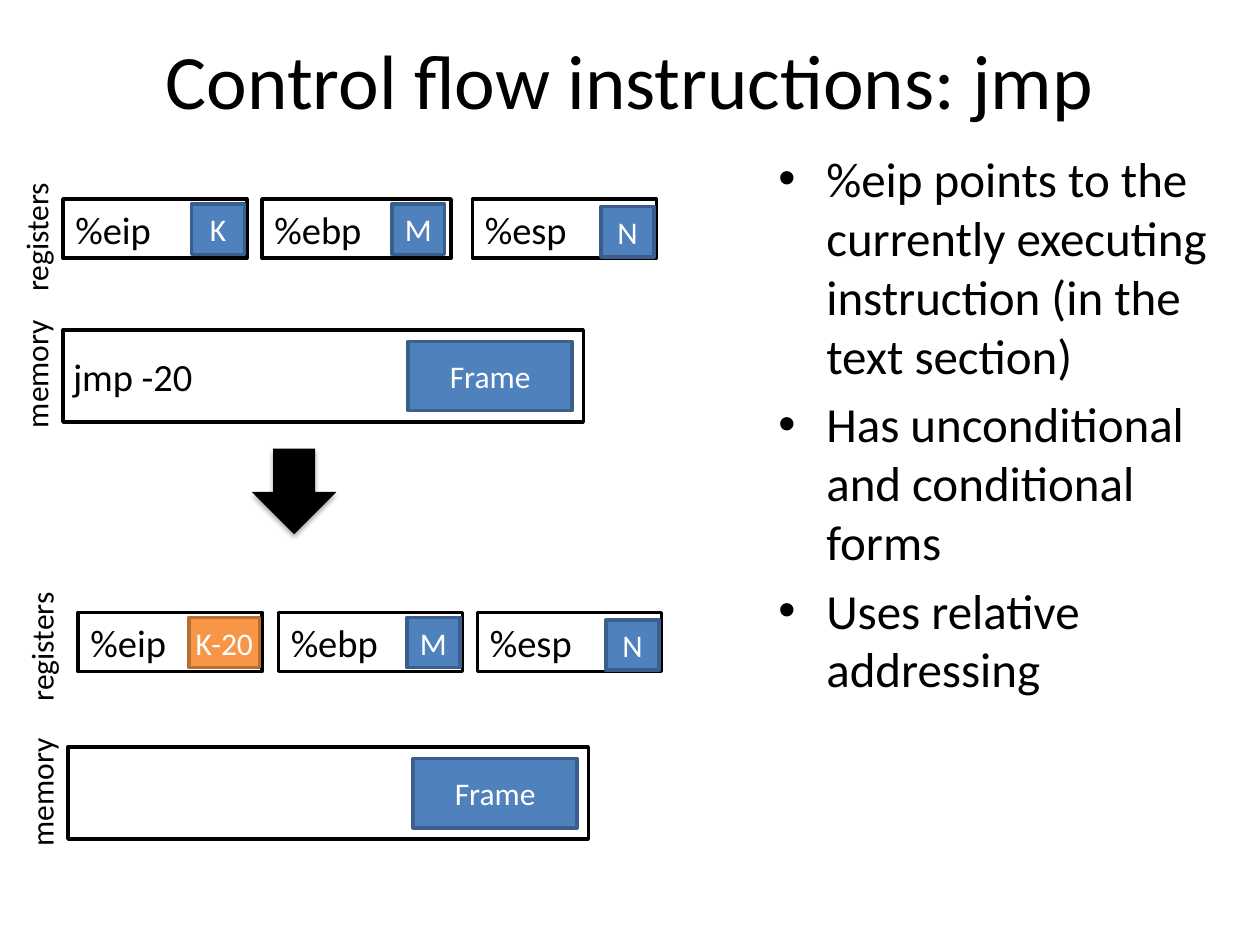
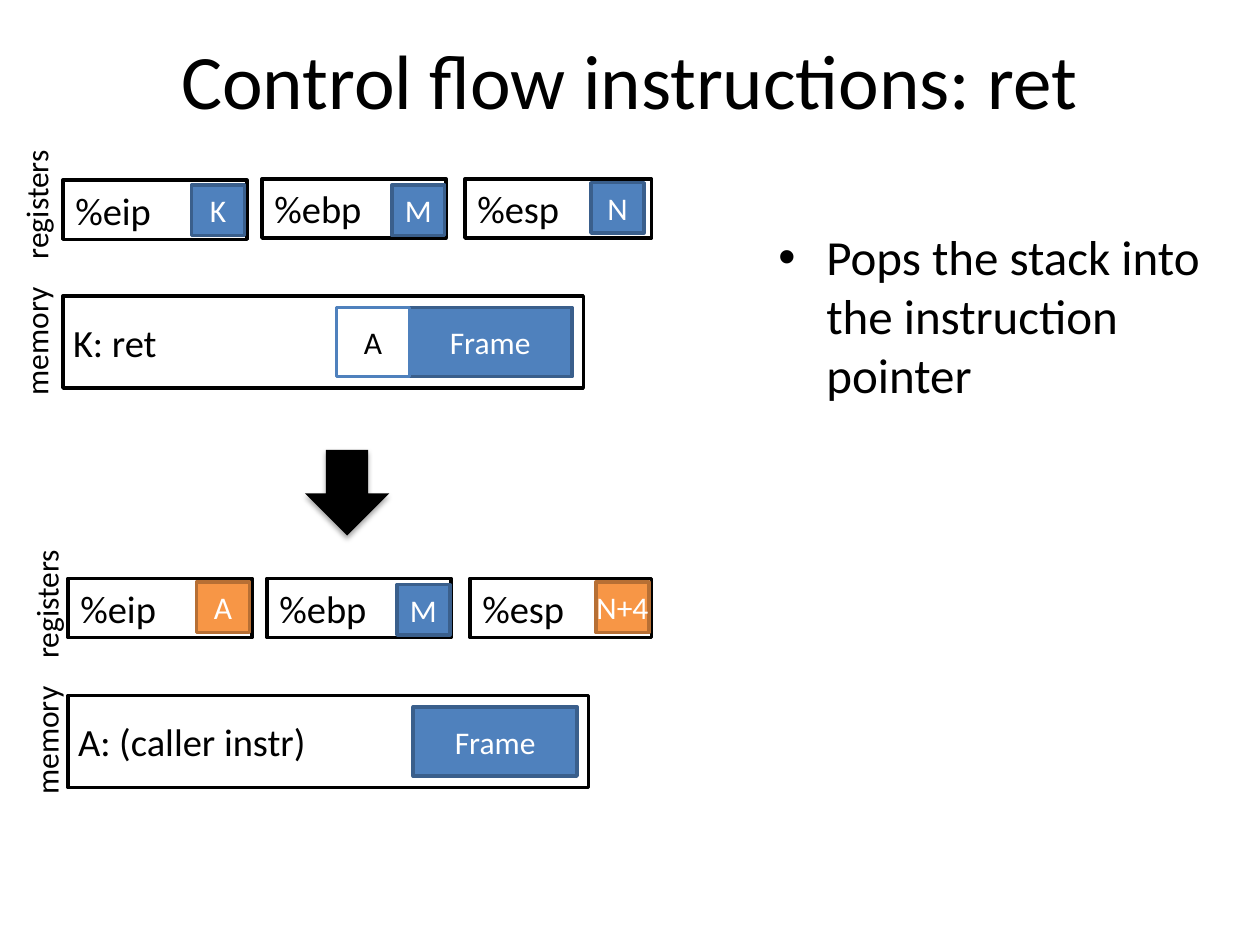
from lxml import etree
from pptx import Presentation
from pptx.dml.color import RGBColor
from pptx.enum.shapes import MSO_SHAPE
from pptx.enum.text import MSO_ANCHOR, PP_ALIGN
from pptx.oxml import parse_xml
from pptx.oxml.ns import nsdecls, qn
from pptx.util import Inches, Pt

RECTANGLE, DOWN_ARROW = MSO_SHAPE.RECTANGLE, MSO_SHAPE.DOWN_ARROW
TOP, MIDDLE = MSO_ANCHOR.TOP, MSO_ANCHOR.MIDDLE
LEFT, CENTER = PP_ALIGN.LEFT, PP_ALIGN.CENTER

FONT = "Calibri"
COLORS = {
    "black": "000000",
    "white": "FFFFFF",
    "blue": "4F81BD",
    "blue edge": "3A5F8C",
    "orange": "F79646",
    "orange edge": "B76F34",
}
REGISTER_HEIGHT = 0.47
VALUE_HEIGHT = 0.4
MEMORY_SIZE = (4.13, 0.73)
FRAME_SIZE = (1.3, 0.55)
LABEL_SIZE = (1.07, 0.4)

# Each register: name, left, top, width, value, value left and top offsets, value width, colour.
# Each state: registers, label left, label tops, memory left and top, instruction, return address.
SLIDES = [
    {
        "title": "Control flow instructions: jmp",
        "bullets_top": 1.13,
        "bullets": [
            "%eip points to the currently executing instruction (in the text section)",
            "Has unconditional and conditional forms",
            "Uses relative addressing",
        ],
        "arrow": (2, 3.56),
        "states": [
            ([("%eip", 0.5, 1.58, 1.46, "K", 1.02, 0.04, 0.42, "blue"),
              ("%ebp", 2.08, 1.58, 1.5, "M", 1.03, 0.04, 0.42, "blue"),
              ("%esp", 3.75, 1.58, 1.46, "N", 1.02, 0.06, 0.42, "blue")],
             -0.25, (1.68, 2.76), (0.5, 2.62), "jmp -20", None),
            ([("%eip", 0.62, 4.86, 1.46, "K-20", 0.88, 0.04, 0.56, "orange"),
              ("%ebp", 2.21, 4.86, 1.46, "M", 1.02, 0.04, 0.42, "blue"),
              ("%esp", 3.79, 4.86, 1.46, "N", 1.02, 0.06, 0.42, "blue")],
             -0.21, (4.93, 6.08), (0.54, 5.93), None, None),
        ],
    },
    {
        "title": "Control flow instructions: ret",
        "bullets_top": 1.75,
        "bullets": ["Pops the stack into the instruction pointer"],
        "arrow": (2.42, 3.57),
        "states": [
            ([("%eip", 0.5, 1.43, 1.46, "K", 1.02, 0.04, 0.42, "blue"),
              ("%ebp", 2.08, 1.42, 1.46, "M", 1.03, 0.05, 0.42, "blue"),
              ("%esp", 3.69, 1.42, 1.48, "N", 1, 0.03, 0.42, "blue")],
             -0.25, (1.42, 2.5), (0.5, 2.35), "K: ret", "A"),
            ([("%eip", 0.54, 4.59, 1.46, "A", 1.02, 0.03, 0.42, "orange"),
              ("%ebp", 2.12, 4.59, 1.46, "M", 1.03, 0.05, 0.42, "blue"),
              ("%esp", 3.73, 4.59, 1.44, "N+4", 1, 0.03, 0.42, "orange")],
             -0.17, (4.59, 5.67), (0.54, 5.52), "A: (caller instr)", None),
        ],
    },
]


def write(box, lines, size, color="black", align=LEFT, anchor=MIDDLE, inset=0.1, wrap=True):
    """Fill a box with one paragraph per line and return the paragraphs."""
    frame = box.text_frame
    frame.word_wrap = wrap
    frame.vertical_anchor = anchor
    frame.margin_left = frame.margin_right = Inches(inset)
    frame.margin_top = frame.margin_bottom = Inches(0.05)
    paras = []
    for number, line in enumerate(lines):
        para = frame.add_paragraph() if number else frame.paragraphs[0]
        para.alignment = align
        span = para.add_run()
        span.text = line
        span.font.name = FONT
        span.font.size = Pt(size)
        span.font.color.rgb = RGBColor.from_string(COLORS[color])
        paras.append(para)
    return paras


def add_rectangle(page, left, top, width, height, fill, edge):
    box = page.shapes.add_shape(
        RECTANGLE, Inches(left), Inches(top), Inches(width), Inches(height))
    box.shadow.inherit = False
    box.fill.solid()
    box.fill.fore_color.rgb = RGBColor.from_string(COLORS[fill])
    box.line.color.rgb = RGBColor.from_string(COLORS[edge])
    box.line.width = Pt(2)
    return box


deck = Presentation()
deck.slide_width, deck.slide_height = Inches(10), Inches(7.5)

for content in SLIDES:
    page = deck.slides.add_slide(deck.slide_layouts[6])

    # Title
    title = page.shapes.add_textbox(Inches(0.5), Inches(0), Inches(9), Inches(1.25))
    write(title, [content["title"]], 44, align=CENTER)

    # Bullets on the right
    body = page.shapes.add_textbox(
        Inches(6.08), Inches(content["bullets_top"]), Inches(3.92), Inches(4.95))
    for para in write(body, content["bullets"], 28, anchor=TOP):
        para.space_before = Pt(5.6)
        properties = para._p.get_or_add_pPr()
        properties.set("marL", str(Inches(0.38)))
        properties.set("indent", str(-Inches(0.38)))
        etree.SubElement(properties, qn("a:buFont")).set("typeface", "Arial")
        etree.SubElement(properties, qn("a:buChar")).set("char", "•")

    # Machine state before and after the instruction
    for registers, label_left, label_tops, memory_at, instruction, address in content["states"]:
        for name, left, top, width, value, shift, drop, value_width, color in registers:
            register = add_rectangle(page, left, top, width, REGISTER_HEIGHT, "white", "black")
            write(register, [name], 22)
            value_box = add_rectangle(page, left + shift, top + drop, value_width, VALUE_HEIGHT,
                                      color, color + " edge")
            write(value_box, [value], 18, "white", CENTER, inset=0, wrap=False)

        for caption, top in zip(("registers", "memory"), label_tops):
            label = page.shapes.add_textbox(
                Inches(label_left), Inches(top), *map(Inches, LABEL_SIZE))
            label.rotation = 270
            write(label, [caption], 18, wrap=False)

        left, top = memory_at
        memory = add_rectangle(page, left, top, *MEMORY_SIZE, "white", "black")
        if instruction:
            write(memory, [instruction], 22, inset=0.08)
        stack_frame = add_rectangle(page, left + 2.74, top + 0.09, *FRAME_SIZE,
                                    "blue", "blue edge")
        write(stack_frame, ["Frame"], 18, "white", CENTER)
        if address:
            address_box = add_rectangle(page, left + 2.17, top + 0.09, 0.58, FRAME_SIZE[1],
                                        "white", "blue")
            write(address_box, [address], 18, align=CENTER, inset=0)

    # Arrow from the first state to the second, with a soft shadow
    left, top = content["arrow"]
    arrow = page.shapes.add_shape(
        DOWN_ARROW, Inches(left), Inches(top), Inches(0.67), Inches(0.68))
    arrow.fill.solid()
    arrow.fill.fore_color.rgb = RGBColor.from_string(COLORS["black"])
    arrow.line.fill.background()
    arrow._element.spPr.append(parse_xml(
        f'<a:effectLst {nsdecls("a")}>'
        f'<a:outerShdw blurRad="{Pt(3.1)}" dist="{Pt(1.8)}" dir="5400000" rotWithShape="0">'
        f'<a:srgbClr val="{COLORS["black"]}"><a:alpha val="35000"/></a:srgbClr>'
        '</a:outerShdw></a:effectLst>'))

deck.save("out.pptx")
